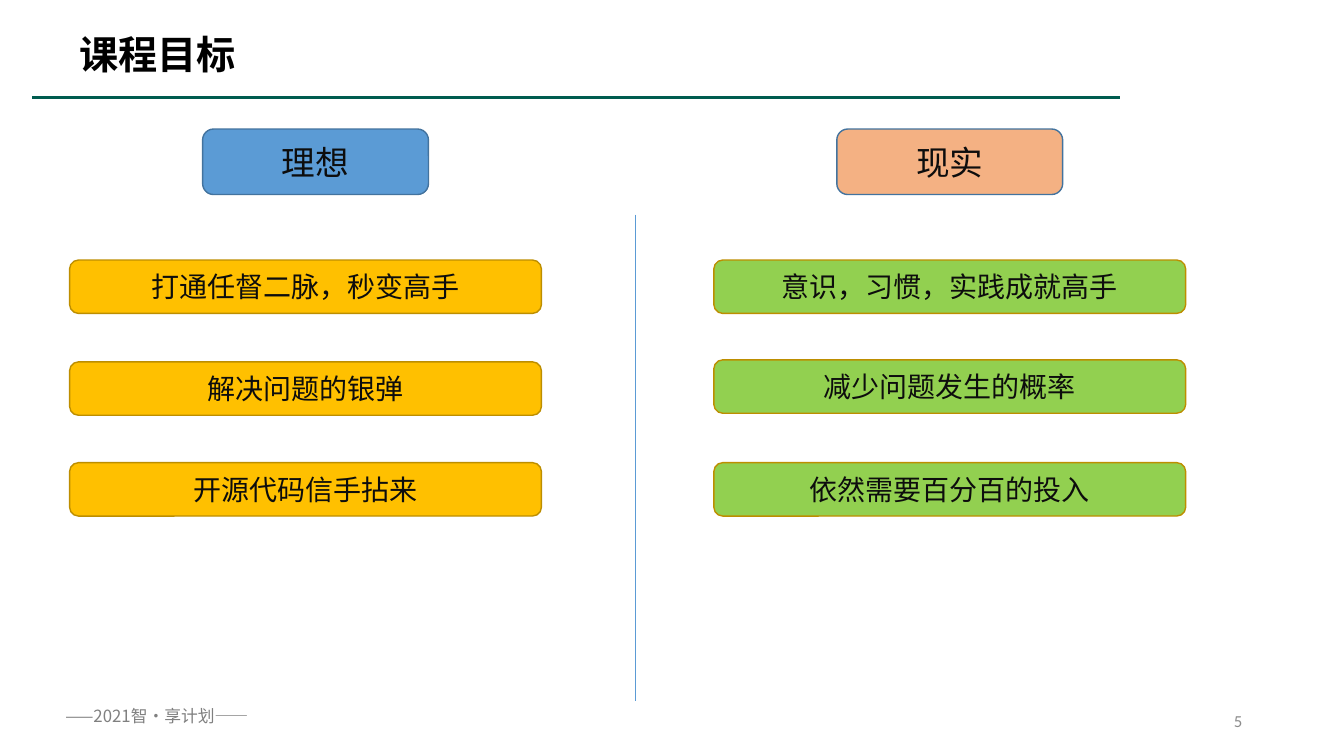
from dataclasses import dataclass

from lxml.etree import SubElement
from pptx import Presentation
from pptx.dml.color import RGBColor
from pptx.enum.shapes import MSO_CONNECTOR, MSO_SHAPE
from pptx.enum.text import MSO_ANCHOR, PP_ALIGN
from pptx.oxml.ns import qn
from pptx.slide import Slide
from pptx.text.text import TextFrame
from pptx.util import Inches, Pt


@dataclass(frozen=True)
class Theme:
    cjk_font: str = "Noto Sans CJK SC"
    number_font: str = "Calibri"
    title_size: int = 28
    heading_size: int = 24
    point_size: int = 20
    footer_size: int = 12
    title: str = "000000"
    ink: str = "0D0D0D"
    footer: str = "808080"
    page_number: str = "8C8C8C"
    rule: str = "005C4F"
    divider: str = "5B9BD5"
    heading_edge: str = "43739E"
    point_edge: str = "BD8E00"
    ideal_heading: str = "5B9BD5"
    ideal_point: str = "FFC000"
    real_heading: str = "F4B183"
    real_point: str = "92D050"


THEME = Theme()


@dataclass(frozen=True)
class Box:
    left: float
    top: float
    width: float
    height: float

    def lengths(self) -> tuple:
        return tuple(map(Inches, (self.left, self.top, self.width, self.height)))


@dataclass(frozen=True)
class Column:
    heading: str
    heading_left: float
    heading_fill: str
    point_left: float
    point_fill: str
    points: tuple[tuple[float, str], ...]  # top, wording


COLUMNS = (
    Column("理想", 2.01, THEME.ideal_heading, 0.69, THEME.ideal_point,
           ((2.58, "打通任督二脉，秒变高手"),
            (3.59, "解决问题的银弹"),
            (4.59, "开源代码信手拈来"))),
    Column("现实", 8.3, THEME.real_heading, 7.08, THEME.real_point,
           ((2.58, "意识，习惯，实践成就高手"),
            (3.57, "减少问题发生的概率"),
            (4.59, "依然需要百分百的投入"))),
)


def write(frame: TextFrame, text: str, *, size: int, color: str,
          font: str = THEME.cjk_font, bold: bool = False,
          align: PP_ALIGN = PP_ALIGN.LEFT,
          anchor: MSO_ANCHOR = MSO_ANCHOR.MIDDLE,
          line_spacing: float = 1.0) -> None:
    frame.word_wrap = True
    frame.vertical_anchor = anchor
    paragraph = frame.paragraphs[0]
    paragraph.alignment = align
    paragraph.line_spacing = line_spacing
    run = paragraph.add_run()
    run.text = text
    run.font.size = Pt(size)
    run.font.bold = bold
    run.font.color.rgb = RGBColor.from_string(color)
    run.font.name = font
    # East Asian characters take their own typeface
    SubElement(run.font._element, qn("a:ea"), typeface=font)


def add_label(slide: Slide, box: Box, text: str, **text_format) -> None:
    write(slide.shapes.add_textbox(*box.lengths()).text_frame, text, **text_format)


def add_card(slide: Slide, box: Box, text: str, *, fill: str, edge: str,
             size: int) -> None:
    card = slide.shapes.add_shape(MSO_SHAPE.ROUNDED_RECTANGLE, *box.lengths())
    card.shadow.inherit = False
    card.fill.solid()
    card.fill.fore_color.rgb = RGBColor.from_string(fill)
    card.line.color.rgb = RGBColor.from_string(edge)
    card.line.width = Pt(1)
    write(card.text_frame, text, size=size, color=THEME.ink, align=PP_ALIGN.CENTER)


def add_line(slide: Slide, start: tuple[float, float], end: tuple[float, float],
             *, color: str, width: float) -> None:
    line = slide.shapes.add_connector(
        MSO_CONNECTOR.STRAIGHT, *map(Inches, (*start, *end)))
    line.line.color.rgb = RGBColor.from_string(color)
    line.line.width = Pt(width)
    SubElement(line._element.spPr, qn("a:effectLst"))


def main() -> None:
    presentation = Presentation()
    presentation.slide_width = Inches(13.33)
    presentation.slide_height = Inches(7.5)
    slide = presentation.slides.add_slide(presentation.slide_layouts[6])

    # Title rule, footer, title and page number
    add_line(slide, (0.32, 0.97), (11.11, 0.97), color=THEME.rule, width=2)
    add_label(slide, Box(0.55, 6.95, 2.04, 0.3), "——2021智·享计划——",
              size=THEME.footer_size, color=THEME.footer, anchor=MSO_ANCHOR.TOP)
    add_label(slide, Box(0.69, 0.19, 11.5, 0.75), "课程目标",
              size=THEME.title_size, color=THEME.title, bold=True,
              line_spacing=0.9)
    add_label(slide, Box(9.42, 6.95, 3, 0.4), "5", size=THEME.footer_size,
              color=THEME.page_number, font=THEME.number_font,
              align=PP_ALIGN.RIGHT)

    # Divider between the two columns
    add_line(slide, (6.3, 2.13), (6.3, 6.95), color=THEME.divider, width=0.5)

    # Ideal and reality columns
    for column in COLUMNS:
        add_card(slide, Box(column.heading_left, 1.28, 2.24, 0.65),
                 column.heading, fill=column.heading_fill,
                 edge=THEME.heading_edge, size=THEME.heading_size)
        for top, point in column.points:
            add_card(slide, Box(column.point_left, top, 4.68, 0.53), point,
                     fill=column.point_fill, edge=THEME.point_edge,
                     size=THEME.point_size)

    presentation.save("out.pptx")


if __name__ == "__main__":
    main()
